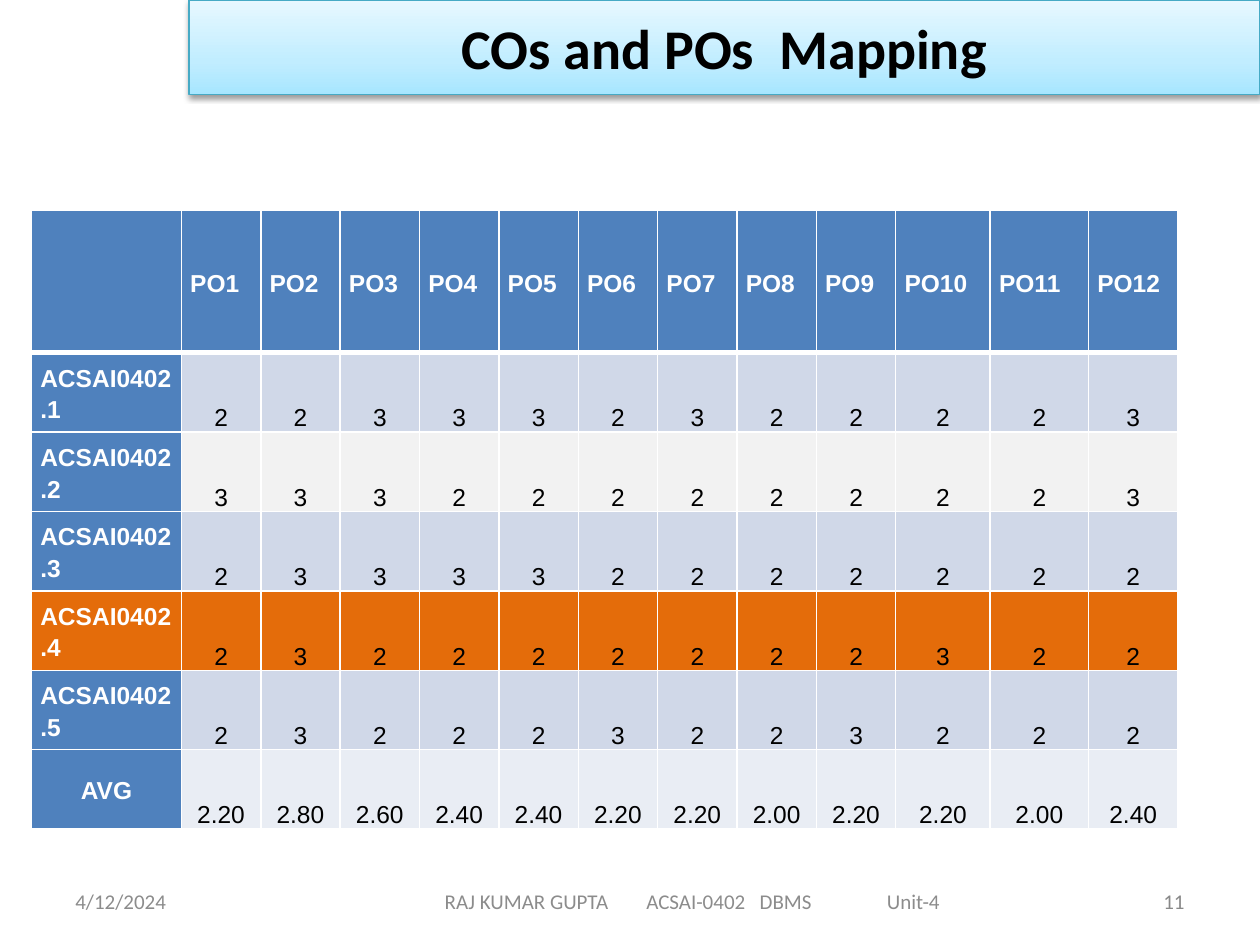
from pptx import Presentation
from pptx.dml.color import RGBColor
from pptx.enum.text import MSO_ANCHOR as ANCHOR, PP_ALIGN as ALIGN
from pptx.oxml import parse_xml
from pptx.util import Inches, Pt

NS = 'xmlns:a="http://schemas.openxmlformats.org/drawingml/2006/main"'
TITLE = "COs and POs  Mapping"
TITLE_STOPS = [(0, "A7E6FF"), (35, "C1EDFF"), (100, "E7F8FF")]
BLUE, ORANGE, PALE, GRAY = "4F81BD", "E46C0A", "D0D8E8", "F2F2F2"
OUTCOMES = [f"PO{number}" for number in range(1, 13)]
RATINGS = [
    ("ACSAI0402.1", "2 2 3 3 3 2 3 2 2 2 2 3", BLUE, PALE),
    ("ACSAI0402.2", "3 3 3 2 2 2 2 2 2 2 2 3", BLUE, GRAY),
    ("ACSAI0402.3", "2 3 3 3 3 2 2 2 2 2 2 2", BLUE, PALE),
    ("ACSAI0402.4", "2 3 2 2 2 2 2 2 2 3 2 2", ORANGE, ORANGE),
    ("ACSAI0402.5", "2 3 2 2 2 3 2 2 3 2 2 2", BLUE, PALE),
    ("AVG", "2.20 2.80 2.60 2.40 2.40 2.20 2.20 2.00 2.20 2.20 2.00 2.40", BLUE, "E9EDF4"),
]
COLUMN_WIDTHS = [1.19] + [0.63] * 9 + [0.75, 0.78, 0.71]
ROW_HEIGHTS = [1.13] + [0.63] * 6
FOOTER_PARTS = ["RAJ KUMAR GUPTA", "ACSAI-0402", "DBMS", "Unit-4"]
FOOTER_TABS = [1.6, 2.5, 3.51]
FOOTERS = [
    ("4/12/2024", 0.5, 2.33, 0.1, ALIGN.LEFT, "8C8C8C", []),
    ("\t".join(FOOTER_PARTS), 2.75, 5.5, 0.78, ALIGN.LEFT, "8C8C8C", FOOTER_TABS),
    ("11", 7.17, 2.33, 0.1, ALIGN.RIGHT, "898989", []),
]


def color(value):
    return RGBColor.from_string(value)


def add_span(para, text, size, font, value, bold=False):
    span = para.add_run()
    span.text = text
    span.font.size = Pt(size)
    span.font.name = font
    span.font.bold = bold
    span.font.color.rgb = color(value)


def add_title(page):
    title = page.shapes.title
    title.left, title.top = Inches(1.5), Inches(0)
    title.width, title.height = Inches(8.5), Inches(0.75)
    stops = "".join(
        f'<a:gs pos="{place * 1000}"><a:srgbClr val="{value}"/></a:gs>'
        for place, value in TITLE_STOPS
    )
    properties = title.element.spPr
    properties.append(parse_xml(
        f'<a:gradFill {NS} rotWithShape="1"><a:gsLst>{stops}</a:gsLst>'
        '<a:lin ang="16200000" scaled="0"/></a:gradFill>'
    ))
    title.line.color.rgb = color("46AAC5")
    title.line.width = Pt(0.75)
    properties.append(parse_xml(
        f'<a:effectLst {NS}><a:outerShdw blurRad="40000" dist="20000" dir="5400000" '
        'rotWithShape="0"><a:srgbClr val="000000"><a:alpha val="38000"/></a:srgbClr>'
        '</a:outerShdw></a:effectLst>'
    ))
    title.text_frame.vertical_anchor = ANCHOR.MIDDLE
    para = title.text_frame.paragraphs[0]
    para.alignment = ALIGN.CENTER
    add_span(para, TITLE, 32, "Calibri", "000000", True)


def style_cell(cell, fill, top, bottom):
    properties = cell._tc.get_or_add_tcPr()
    for side, points in (("L", 1), ("R", 1), ("T", top), ("B", bottom)):
        properties.append(parse_xml(
            f'<a:ln{side} {NS} w="{Pt(points)}"><a:solidFill>'
            f'<a:srgbClr val="FFFFFF"/></a:solidFill></a:ln{side}>'
        ))
    cell.fill.solid()
    cell.fill.fore_color.rgb = color(fill)
    cell.margin_left = cell.margin_right = Inches(0.07)
    cell.margin_top = cell.margin_bottom = 0


def fill_cell(cell, text, align, is_value):
    cell.vertical_anchor = ANCHOR.BOTTOM if is_value else ANCHOR.MIDDLE
    para = cell.text_frame.paragraphs[0]
    para.alignment = align
    para.line_spacing = 1.15
    if is_value:
        para.space_after = Pt(10)
    if text:
        add_span(para, text, 14, "Arial", "000000" if is_value else "FFFFFF", not is_value)


def add_mapping(page):
    rows = [("", OUTCOMES, BLUE, BLUE)]
    rows += [(label, values.split(), head, body) for label, values, head, body in RATINGS]
    table = page.shapes.add_table(
        len(rows), len(COLUMN_WIDTHS), Inches(0.25), Inches(1.67),
        Inches(sum(COLUMN_WIDTHS)), Inches(sum(ROW_HEIGHTS)),
    ).table
    for column, width in zip(table.columns, COLUMN_WIDTHS):
        column.width = Inches(width)
    for row, height in zip(table.rows, ROW_HEIGHTS):
        row.height = Inches(height)
    for r, (label, values, head, body) in enumerate(rows):
        for c, text in enumerate([label, *values]):
            cell = table.cell(r, c)
            is_value = r > 0 and c > 0
            align = ALIGN.CENTER if is_value or text == "AVG" else ALIGN.LEFT
            style_cell(cell, body if c else head, 3 if r == 1 else 1, 3 if r == 0 else 1)
            fill_cell(cell, text, align, is_value)


def add_footers(page):
    for text, left, width, inset, align, value, tabs in FOOTERS:
        box = page.shapes.add_textbox(Inches(left), Inches(6.95), Inches(width), Inches(0.4))
        frame = box.text_frame
        frame.word_wrap = True
        frame.vertical_anchor = ANCHOR.MIDDLE
        frame.margin_left = Inches(inset)
        para = frame.paragraphs[0]
        para.alignment = align
        if tabs:
            marks = "".join(f'<a:tab pos="{Inches(tab)}" algn="l"/>' for tab in tabs)
            para._p.get_or_add_pPr().append(parse_xml(f"<a:tabLst {NS}>{marks}</a:tabLst>"))
        add_span(para, text, 12, "Calibri", value)


def main():
    deck = Presentation()
    deck.slide_width, deck.slide_height = Inches(10), Inches(7.5)
    page = deck.slides.add_slide(deck.slide_layouts[5])
    add_footers(page)
    add_title(page)
    add_mapping(page)
    deck.save("out.pptx")


if __name__ == "__main__":
    main()
